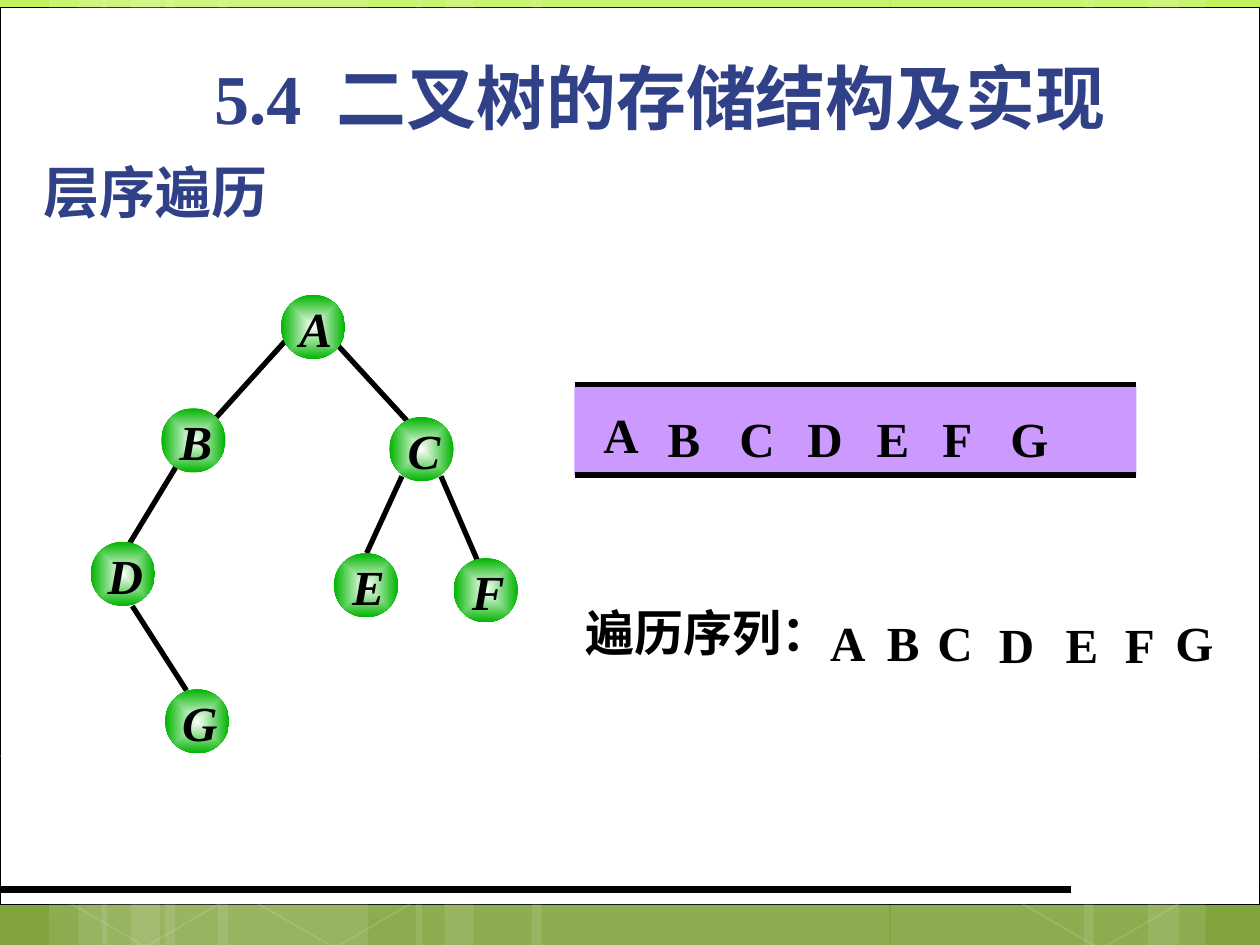
from lxml import etree
from pptx import Presentation
from pptx import util as u
from pptx.dml.color import RGBColor
from pptx.enum import shapes, text
from pptx.oxml.ns import qn

INK, NAVY, LILAC, WHITE = "000000", "314187", "CC99FF", "FFFFFF"
SERIF, SANS = "Times New Roman", "Noto Sans CJK SC"
KIND = shapes.MSO_SHAPE


def hue(code):
    return RGBColor.from_string(code)


def sub(node, tag, **vals):
    return etree.SubElement(node, qn(tag), {k: str(v) for k, v in vals.items()})


def blend(fill, host, stops, round_=False):
    fill.solid()
    old = host.find(qn("a:solidFill"))
    grad = etree.Element(qn("a:gradFill"), rotWithShape="1")
    row = sub(grad, "a:gsLst")
    for pos, code in stops:
        sub(sub(row, "a:gs", pos=pos * 1000), "a:srgbClr", val=code)
    if round_:
        way = sub(grad, "a:path", path="shape")
        sub(way, "a:fillToRect", l=50000, t=50000, r=50000, b=50000)
    else:
        sub(grad, "a:lin", ang=5400000, scaled=0)
    host.replace(old, grad)


def fade(part, share):
    for tone in part.iter(qn("a:srgbClr")):
        sub(tone, "a:alpha", val=share * 1000)


class Page:
    font = {"size": u.Pt(28), "bold": True, "name": SERIF}

    def __init__(self, deck):
        self.slide = deck.slides.add_slide(deck.slide_layouts[6])
        self.items = self.slide.shapes

    def ground(self, stops):
        fill = self.slide.background.fill
        fill.solid()
        blend(fill, self.slide.element.find(".//" + qn("p:bgPr")), stops)

    def stroke(self, item, code, width):
        item.line.color.rgb = hue(code)
        item.line.width = u.Pt(width)

    def shape(self, kind, box, fill=None, line=None, width=1):
        item = self.items.add_shape(kind, *map(u.Inches, box))
        item.shadow.inherit = False
        if fill:
            item.fill.solid()
            item.fill.fore_color.rgb = hue(fill)
        else:
            item.fill.background()
        if line:
            self.stroke(item, line, width)
        else:
            item.line.fill.background()
        return item

    def line(self, x1, y1, x2, y2, width=3):
        ends = map(u.Inches, (x1, y1, x2, y2))
        item = self.items.add_connector(shapes.MSO_CONNECTOR.STRAIGHT, *ends)
        self.stroke(item, INK, width)
        sub(item.element.spPr, "a:effectLst")

    def curve(self, dots):
        pen = self.items.build_freeform(*dots[0], scale=u.Inches(1))
        pen.add_line_segments(dots[1:], close=False)
        item = pen.convert_to_shape()
        item.shadow.inherit = False
        item.fill.background()
        self.stroke(item, WHITE, 0.5)
        fade(item.element.spPr, 20)

    def label(self, box, words, code=INK, align="LEFT", pad=(0.1, 0.05), **style):
        item = self.items.add_textbox(*map(u.Inches, box))
        frame = item.text_frame
        frame.word_wrap = True
        frame.vertical_anchor = text.MSO_ANCHOR.TOP
        side, top = map(u.Inches, pad)
        frame.margin_left = frame.margin_right = side
        frame.margin_top = top
        para = frame.paragraphs[0]
        para.alignment = getattr(text.PP_ALIGN, align)
        for word in words:
            run = para.add_run()
            run.text = word
            for key, val in {**self.font, **style}.items():
                setattr(run.font, key, val)
            run.font.color.rgb = hue(code)
        for props in item.element.iter(qn("a:rPr")):
            sub(props, "a:ea", typeface=SANS)
        return item

    def chip(self, x, y, word, fill=None):
        item = self.label((x, y, 0.52, 0.57), [word], pad=(0.1, 0.09))
        if fill:
            item.fill.solid()
            item.fill.fore_color.rgb = hue(fill)

    def node(self, x, y, word):
        ball = self.shape(KIND.OVAL, (x, y, 0.51, 0.51), WHITE)
        blend(ball.fill, ball.element.spPr, [(0, WHITE), (100, "00B400")], True)
        self.label((x + 0.06, y - 0.05, 0.43, 0.67), [word], align="CENTER",
                   pad=(0, 0.08), italic=True)


def main():
    deck = Presentation()
    deck.slide_width, deck.slide_height = u.Inches(10), u.Inches(7.5)
    page = Page(deck)

    page.ground([(0, "C2F35F"), (62, "92BE3F"), (100, "80A33D")])
    page.shape(KIND.RECTANGLE, (0, 0.06, 10, 7.12), WHITE, INK, 0.5)
    bars = [(1.31, 1.61), (0.39, 0.46), (0.62, 0.77), (1.73, 1.62),
            (0.81, 0.46), (1.04, 0.77), (7.07, 1.61), (9.11, 0.46),
            (8.6, 0.76), (4.22, 2.84), (3.3, 0.46), (3.53, 0.77)]
    for x, wide in bars:
        bar = page.shape(KIND.RECTANGLE, (x, 0, wide, 7.5), WHITE)
        fade(bar.element.spPr, 10)
    curves = [
        [(0.36, 6.17), (1.18, 6.57), (1.94, 6.93), (2.7, 7.25), (3.39, 7.49)],
        [(0.37, 5.78), (1.49, 6.16), (3.59, 6.73), (6.09, 7.18),
         (7.15, 7.29), (8.16, 7.36), (9.01, 7.38), (9.58, 7.34)],
        [(2.54, 7.49), (2.79, 7.19), (3.09, 6.91), (3.88, 6.39), (4.63, 6.09),
         (5.91, 5.78), (6.57, 5.69), (7.62, 5.62), (9.57, 5.66)]]
    for dots in curves:
        page.curve(dots)
    for x, y in [(0.41, 5.91), (1.91, 5.92), (7.99, 5.93)]:
        cell = page.shape(KIND.HEXAGON, (x, y, 1.61, 1.52), line=WHITE)
        cell.adjustments[0] = 0.285
        cell.rotation = 30
        fade(cell.element.spPr, 12)
    page.line(0, 7.06, 8.5, 7.06, 4.5)

    page.label((0.25, 1.2, 5.83, 0.63), ["层序遍历"], NAVY,
               size=u.Pt(32), name=SANS)
    title = page.label((1.6, 0.38, 7.71, 0.77),
                       ["5.4", " ", "二叉树的存储结构及实现"], NAVY,
                       "JUSTIFY", size=u.Pt(40))
    gap = list(title.element.iter(qn("a:rPr")))[1]
    gap.set("spc", "1000")

    edges = [(2.27, 2.7, 1.71, 3.32), (2.68, 2.74, 3.24, 3.35),
             (1.4, 3.7, 1.03, 4.31), (1.05, 4.81, 1.48, 5.48),
             (3.19, 3.78, 2.91, 4.39), (3.5, 3.78, 3.79, 4.45)]
    for edge in edges:
        page.line(*edge)
    spots = [(2.23, 2.34), (1.28, 3.24), (3.09, 3.31), (0.72, 4.3),
             (2.65, 4.39), (3.6, 4.43), (1.31, 5.47)]
    for word, spot in zip("ABCDEFG", spots):
        page.node(*spot, word)

    page.shape(KIND.RECTANGLE, (4.56, 3.07, 4.46, 0.7), LILAC)
    for y in (3.05, 3.77):
        page.line(4.56, y, 9.02, y)
    page.label((4.55, 4.73, 4.94, 0.57), ["遍历序列："])
    queue = (4.69, 5.2, 5.77, 6.31, 6.86, 7.38, 7.92)
    order = (6.49, 6.94, 7.34, 7.83, 8.36, 8.83, 9.23)
    for word, left, right in zip("ABCDEFG", queue, order):
        page.chip(left, 3.12 if word == "A" else 3.15, word, LILAC)
        page.chip(right, 4.79 if word in "DEF" else 4.77, word)

    deck.save("out.pptx")


if __name__ == "__main__":
    main()
